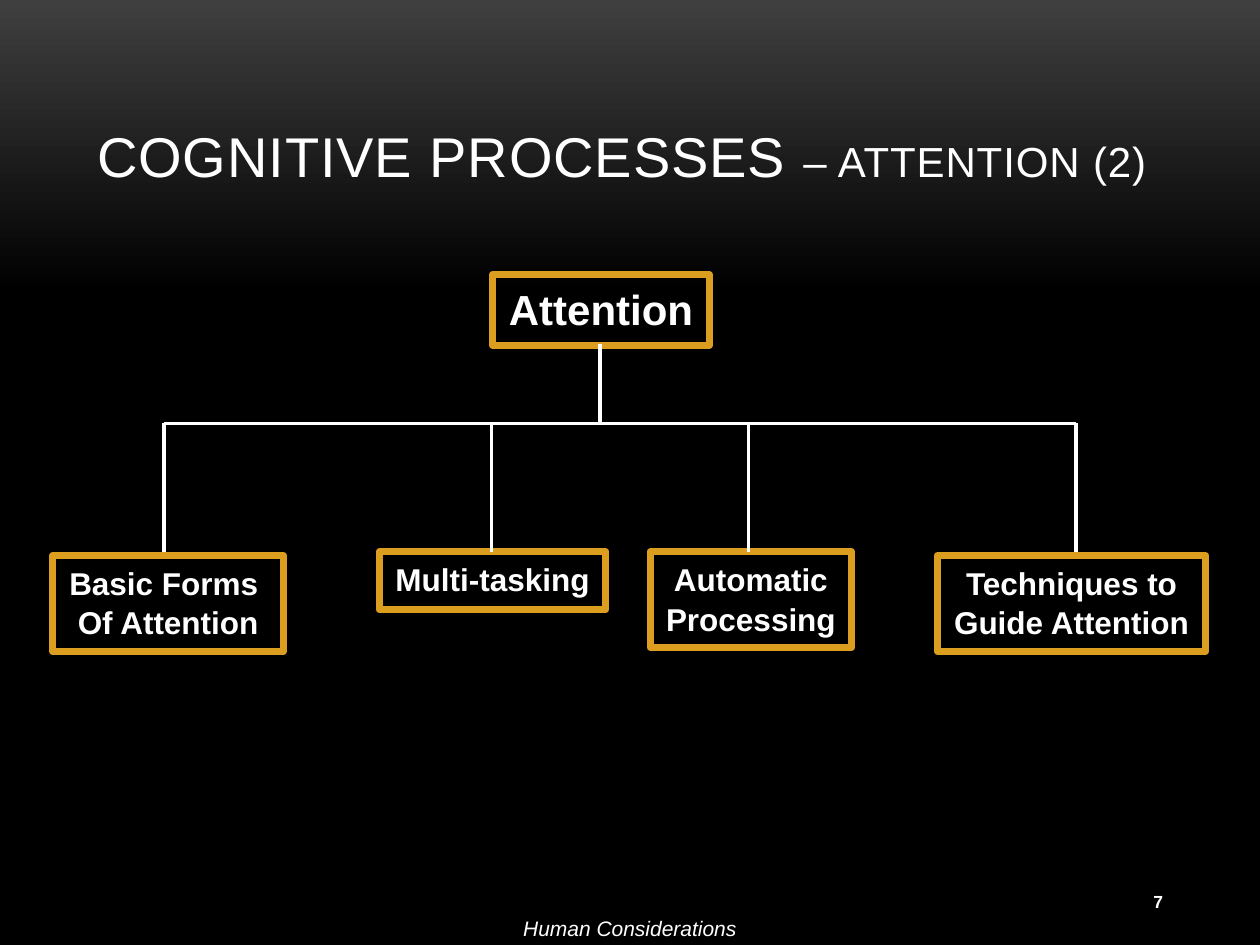
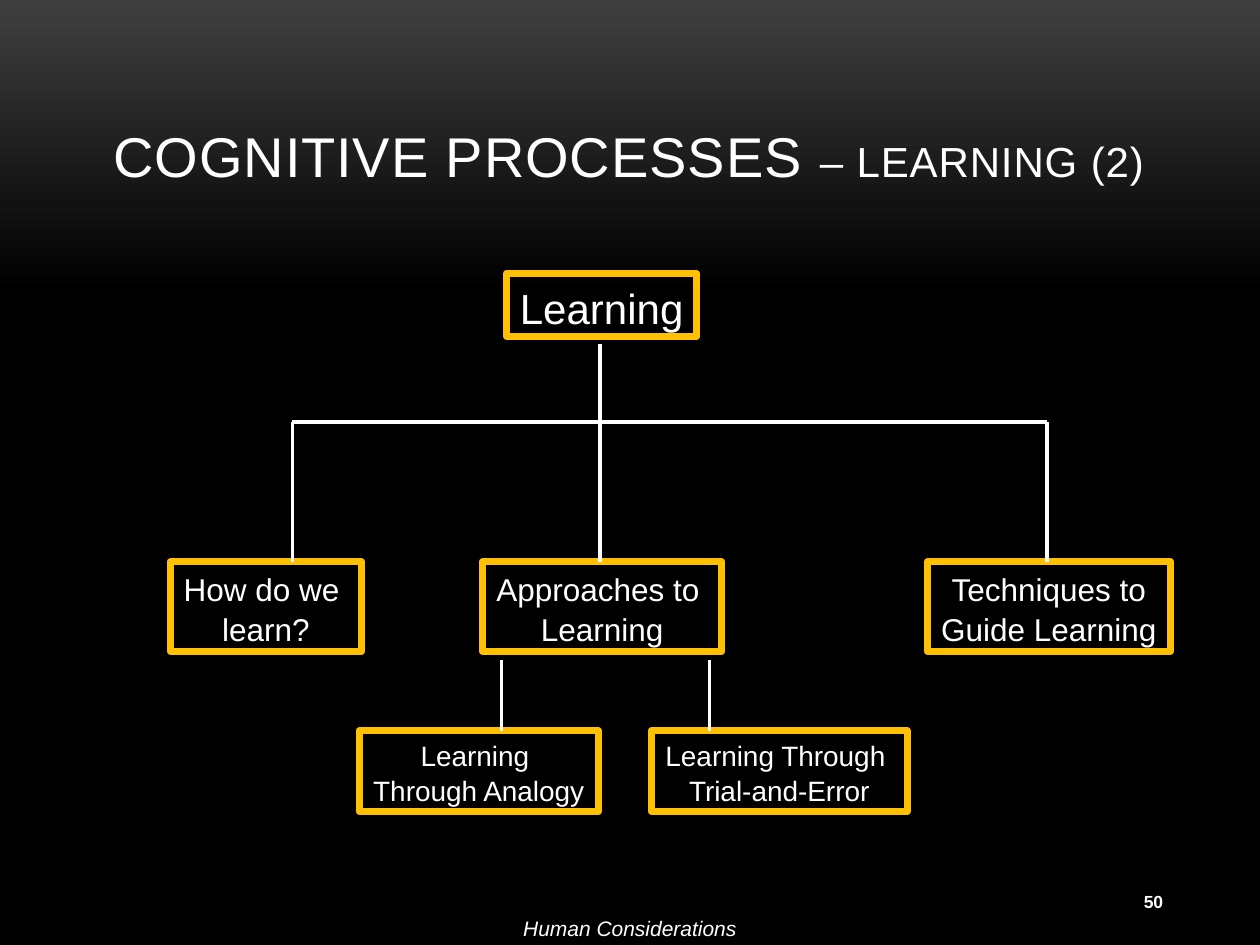
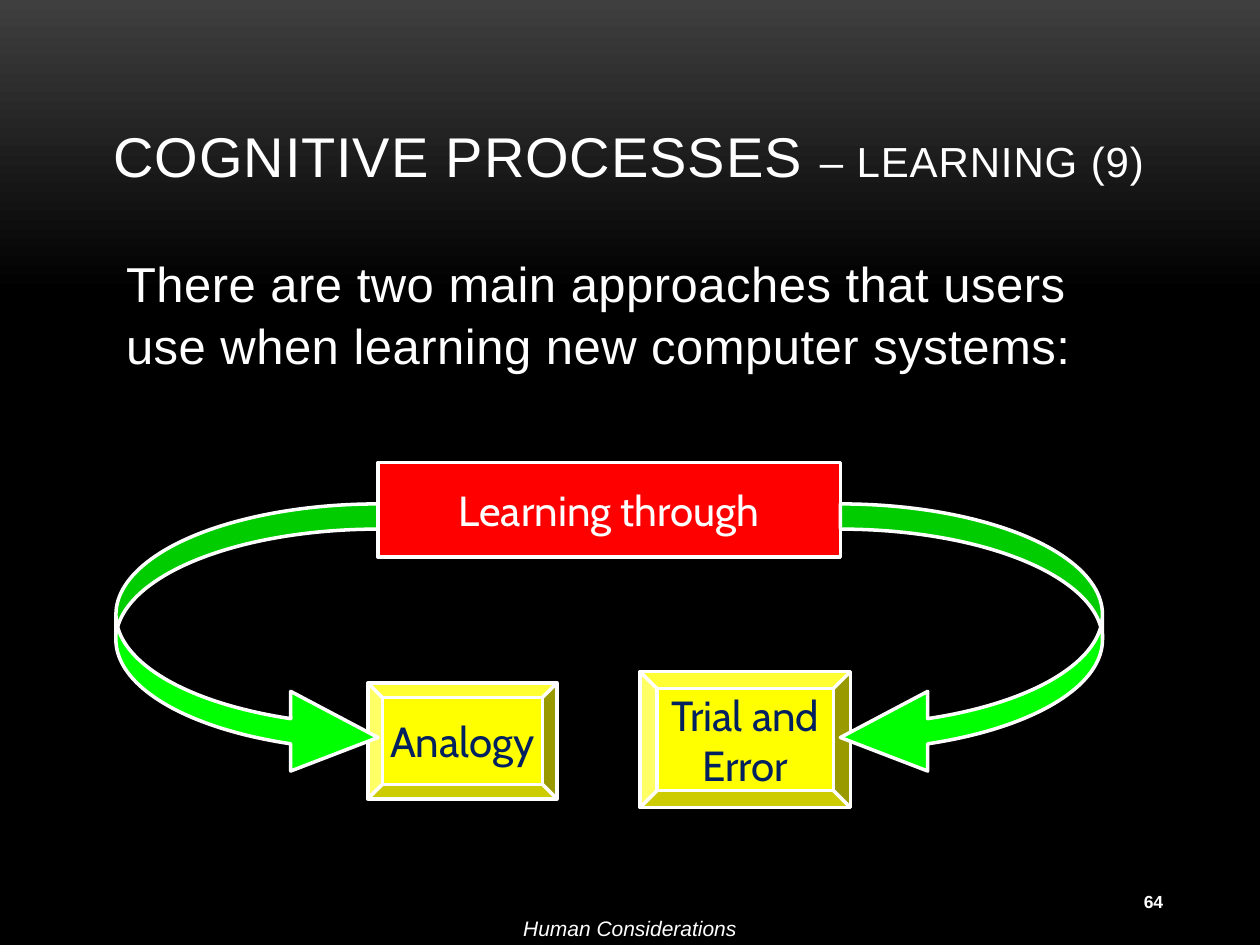
from copy import deepcopy

from pptx import Presentation
from pptx.dml.color import RGBColor
from pptx.enum.shapes import MSO_CONNECTOR, MSO_SHAPE
from pptx.enum.text import MSO_ANCHOR, MSO_AUTO_SIZE, PP_ALIGN
from pptx.oxml.ns import qn
from pptx.util import Inches, Pt
from lxml import etree

# Shared style
WIDTH, HEIGHT = 10, 7.5
WHITE, BLACK, NAVY = "FFFFFF", "000000", "002060"
GOLD, AMBER = "DC9E1F", "FFC000"
RED, YELLOW, GREEN = "FF0000", "FFFF00", "00FF00"
BACKGROUND = [(0, "3F3F3F"), (0.31, BLACK), (1, BLACK)]
BODY_FONT, DIAGRAM_FONT = "Arial", "Cabin"
ARIAL_SPACING = 1.05
FOOTER = "Human Considerations"
TITLE_AT = (0.67, 0.3, 8.67, 1.25)
NUMBER_AT = (8.25, 6.95, 1.08, 0.4)
FOOTER_AT = (0, 7.21, WIDTH, 0.3)

# Content: each box is (left, top, width, height), text size, lines.
# Branches and stubs are (x, bottom); branches hang from the bus.
TREES = [
    dict(
        title=("COGNITIVE PROCESSES ", "– ATTENTION (2)"), number="7",
        border=GOLD, bold=True,
        root=((3.91, 2.18, 1.72, 0.56), 24, ["Attention"]),
        children=[
            ((0.42, 4.41, 1.83, 0.76), 18, ["Basic Forms ", "Of Attention"]),
            ((3.01, 4.38, 1.8, 0.46), 18, ["Multi-tasking"]),
            ((5.16, 4.38, 1.6, 0.76), 18, ["Automatic", "Processing"]),
            ((7.44, 4.41, 2.13, 0.76), 18, ["Techniques to", "Guide Attention"]),
        ],
        bus=3.36, branches=[(x, 4.38) for x in (1.3, 3.9, 5.94, 8.54)],
        stubs=[],
    ),
    dict(
        title=(" COGNITIVE PROCESSES ", "– LEARNING (2)"), number="50",
        border=AMBER, bold=False,
        root=((4.02, 2.17, 1.51, 0.5), 24, ["Learning"]),
        children=[
            ((1.35, 4.46, 1.52, 0.71), 18, ["How do we ", "learn?"]),
            ((3.83, 4.46, 1.9, 0.71), 18, ["Approaches to ", "Learning"]),
            ((7.36, 4.46, 1.93, 0.71), 18, ["Techniques to", "Guide Learning"]),
            ((2.85, 5.8, 1.9, 0.64), 16, ["Learning ", "Through Analogy"]),
            ((5.17, 5.8, 2.03, 0.64), 16, ["Learning Through ", "Trial-and-Error"]),
        ],
        bus=3.35, branches=[(x, 4.46) for x in (2.32, 4.76, 8.31)],
        stubs=[(3.98, 5.8), (5.63, 5.8)],
    ),
]
TRUNK_X, TRUNK_TOP, STUB_TOP = 4.76, 2.73, 5.24

APPROACHES = dict(
    title=(" COGNITIVE PROCESSES ", "– LEARNING (9)"), number="64",
    intro="There are two main approaches that users use when learning "
          "new computer systems:",
    intro_at=(0.9, 1.94, 8.35, 1.26),
    hub=((3, 3.67, 3.67, 0.75), "Learning through"),
    # box, lines, left edge of the arrow, arrow mirrored
    kinds=[
        ((2.92, 5.42, 1.5, 0.92), ["Analogy"], 0.92, False),
        ((5.08, 5.33, 1.67, 1.08), ["Trial and", "Error"], 6.67, True),
    ],
)
ARROW_TOP, ARROW_WIDTH, ARROW_HEIGHT = 4, 2.08, 2.17
ARROW_BENDS = (0.096, 0.304, 0.333)


def rgb(color):
    return RGBColor.from_string(color)


def inches(lengths):
    return [Inches(length) for length in lengths]


def write(frame, lines, size=18, color=WHITE, font=BODY_FONT, bold=False,
          italic=False, align=PP_ALIGN.LEFT, anchor=MSO_ANCHOR.TOP, wrap=True,
          tracking=0, margin=None):
    """Each line is a string or a list of (text, size) runs."""
    frame.auto_size = MSO_AUTO_SIZE.NONE
    frame.word_wrap = wrap
    frame.vertical_anchor = anchor
    if margin is not None:
        frame.margin_left = frame.margin_right = Inches(margin)
        frame.margin_top = frame.margin_bottom = Inches(margin)
    for index, line in enumerate(lines):
        paragraph = frame.add_paragraph() if index else frame.paragraphs[0]
        paragraph.alignment = align
        paragraph.space_before = Pt(0)
        paragraph.line_spacing = ARIAL_SPACING if font == BODY_FONT else 1.0
        for text, run_size in [(line, size)] if isinstance(line, str) else line:
            run = paragraph.add_run()
            run.text = text
            run.font.name, run.font.size = font, Pt(run_size)
            run.font.bold, run.font.italic = bold, italic
            run.font.color.rgb = rgb(color)
            if tracking:
                run.font._element.set("spc", str(round(tracking * 100)))


def place(shape, at):
    shape.left, shape.top, shape.width, shape.height = inches(at)


def add_label(slide, at, text, **style):
    write(slide.shapes.add_textbox(*inches(at)).text_frame, [text], **style)


def add_box(slide, preset, at, fill=None, border=WHITE, weight=2):
    box = slide.shapes.add_shape(preset, *inches(at))
    box.shadow.inherit = False
    if fill:
        box.fill.solid()
        box.fill.fore_color.rgb = rgb(fill)
    else:
        box.fill.background()
    box.line.color.rgb = rgb(border)
    box.line.width = Pt(weight)
    return box


def add_line(slide, *ends):
    line = slide.shapes.add_connector(MSO_CONNECTOR.STRAIGHT, *inches(ends))
    line.line.color.rgb = rgb(WHITE)
    line.line.width = Pt(2)
    etree.SubElement(line._element.spPr, qn("a:effectLst"))


def paint_background(master):
    fill = master.background.fill
    fill.gradient()
    fill.gradient_angle = 270
    last = fill.gradient_stops[1]._gs
    last.addnext(deepcopy(last))
    for stop, (position, color) in zip(fill.gradient_stops, BACKGROUND):
        stop.position = position
        stop.color.rgb = rgb(color)


def start_slide(prs, layout, content):
    slide = prs.slides.add_slide(prs.slide_layouts[layout])
    main, topic = content["title"]
    place(slide.shapes.title, TITLE_AT)
    write(slide.shapes.title.text_frame, [[(main, 32), (topic, 24)]],
          anchor=MSO_ANCHOR.BOTTOM, tracking=0.5)
    add_label(slide, NUMBER_AT, content["number"], size=10, bold=True,
              align=PP_ALIGN.RIGHT, anchor=MSO_ANCHOR.MIDDLE)
    add_label(slide, FOOTER_AT, FOOTER, size=12, italic=True,
              align=PP_ALIGN.CENTER)
    return slide


def build_tree(prs, tree):
    slide = start_slide(prs, 5, tree)
    for at, size, lines in [tree["root"], *tree["children"]]:
        box = add_box(slide, MSO_SHAPE.RECTANGLE, at,
                      border=tree["border"], weight=4)
        write(box.text_frame, lines, size=size, bold=tree["bold"], wrap=False,
              align=PP_ALIGN.CENTER)

    # Trunk, bus, branches and stubs
    bus, branches = tree["bus"], tree["branches"]
    add_line(slide, TRUNK_X, TRUNK_TOP, TRUNK_X, bus)
    add_line(slide, branches[0][0], bus, branches[-1][0], bus)
    for top, drops in ((bus, branches), (STUB_TOP, tree["stubs"])):
        for x, bottom in drops:
            add_line(slide, x, top, x, bottom)


def build_approaches(prs, content):
    slide = start_slide(prs, 1, content)

    # Introduction without a bullet
    intro = slide.placeholders[1]
    place(intro, content["intro_at"])
    properties = intro.text_frame.paragraphs[0]._p.get_or_add_pPr()
    properties.set("marL", "0")
    properties.set("indent", "0")
    etree.SubElement(properties, qn("a:buNone"))
    write(intro.text_frame, [content["intro"]], size=28, tracking=0.3)

    # Hub with an arrow to each kind of learning
    diagram = dict(size=24, font=DIAGRAM_FONT, wrap=False, margin=0,
                   align=PP_ALIGN.CENTER, anchor=MSO_ANCHOR.MIDDLE)
    at, text = content["hub"]
    hub = add_box(slide, MSO_SHAPE.RECTANGLE, at, fill=RED)
    write(hub.text_frame, [text], **diagram)
    for at, lines, arrow_left, mirrored in content["kinds"]:
        kind = add_box(slide, MSO_SHAPE.BEVEL, at, fill=YELLOW)
        write(kind.text_frame, lines, color=NAVY, **diagram)
        arrow = add_box(slide, MSO_SHAPE.CURVED_RIGHT_ARROW,
                        (arrow_left, ARROW_TOP, ARROW_WIDTH, ARROW_HEIGHT),
                        fill=GREEN)
        for index, bend in enumerate(ARROW_BENDS):
            arrow.adjustments[index] = bend
        if mirrored:
            arrow._element.spPr.xfrm.set("flipH", "1")


def main():
    prs = Presentation()
    prs.slide_width, prs.slide_height = Inches(WIDTH), Inches(HEIGHT)
    paint_background(prs.slide_master)
    for tree in TREES:
        build_tree(prs, tree)
    build_approaches(prs, APPROACHES)
    prs.save("out.pptx")


if __name__ == "__main__":
    main()
